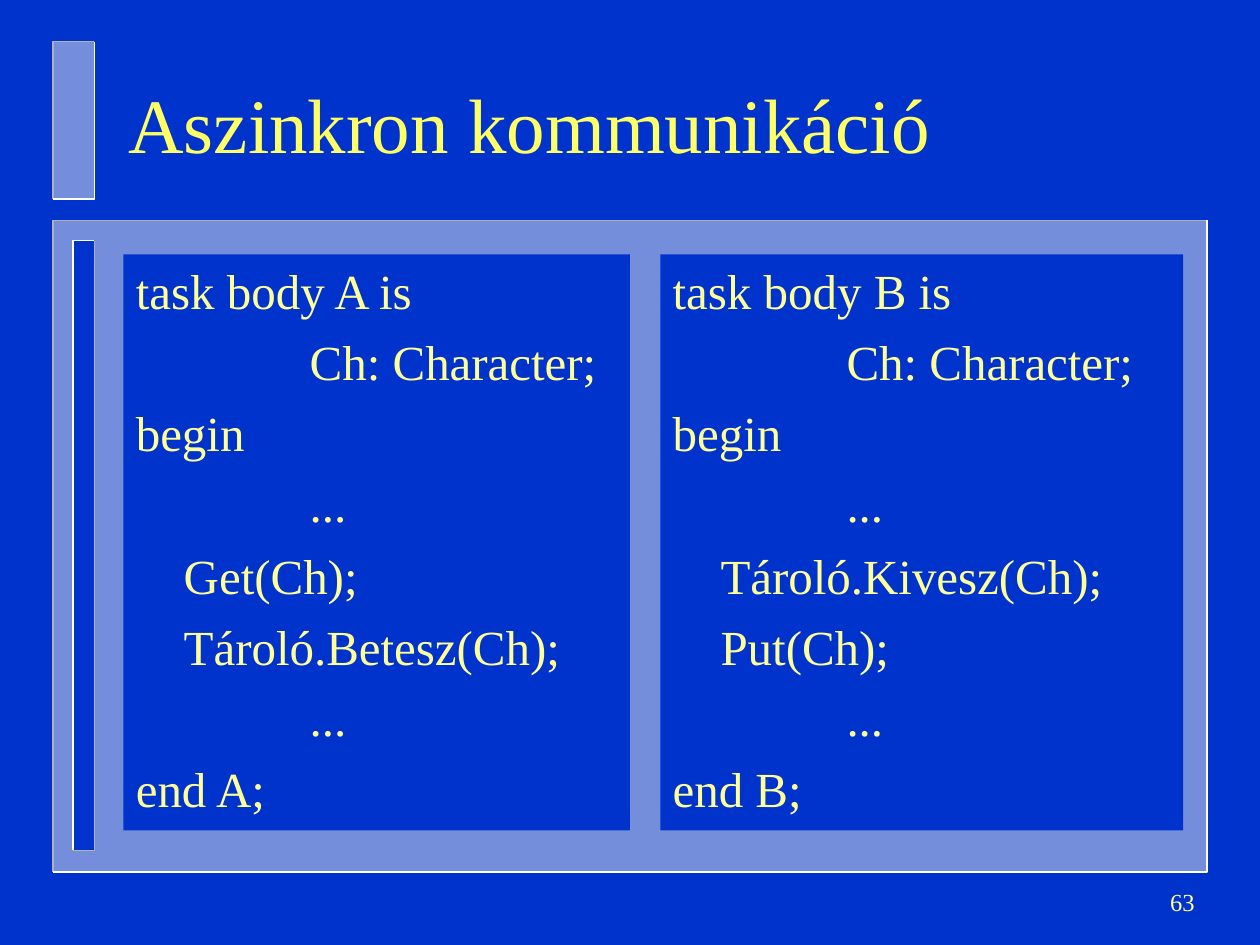
from lxml import etree
from pptx import Presentation
from pptx.dml.color import RGBColor
from pptx.enum.shapes import MSO_SHAPE
from pptx.enum.text import MSO_ANCHOR, PP_ALIGN
from pptx.oxml.ns import qn
from pptx.util import Inches, Pt

RECTANGLE = MSO_SHAPE.RECTANGLE
TOP, MIDDLE = MSO_ANCHOR.TOP, MSO_ANCHOR.MIDDLE
LEFT, RIGHT = PP_ALIGN.LEFT, PP_ALIGN.RIGHT
BLUE, PALE, GRAY, WHITE = "0033CC", "EAEAEA", "B2B2B2", "FFFFFF"
TITLE_YELLOW, TEXT_YELLOW = "FFFF66", "FFFF99"
LEVEL_INDENTS = [0, 0.38, 1.38]


def color(value):
    return RGBColor.from_string(value)


def write(box, lines, size, value, anchor=MIDDLE, align=LEFT, space=0):
    frame = box.text_frame
    frame.word_wrap = True
    frame.vertical_anchor = anchor
    for index, (level, text) in enumerate(lines):
        para = frame.paragraphs[0] if index == 0 else frame.add_paragraph()
        para.alignment = align
        para._p.get_or_add_pPr().set("marL", str(Inches(LEVEL_INDENTS[level])))
        if index:
            para.space_before = Pt(space)
        span = para.add_run()
        span.text = text
        span.font.name = "Times New Roman"
        span.font.size = Pt(size)
        span.font.color.rgb = color(value)


deck = Presentation()
deck.slide_width, deck.slide_height = Inches(10), Inches(7.5)
page = deck.slides.add_slide(deck.slide_layouts[6])
page.background.fill.solid()
page.background.fill.fore_color.rgb = color(BLUE)

panels = [
    (0.42, 1.75, 9.58, 6.92, PALE, GRAY, WHITE),
    (0.58, 1.91, 0.75, 6.75, BLUE, WHITE, GRAY),
    (0.42, 0.33, 0.75, 1.58, PALE, GRAY, WHITE),
]
for left, top, right, bottom, fill, upper, lower in panels:
    panel = page.shapes.add_shape(
        RECTANGLE, Inches(left), Inches(top), Inches(right - left), Inches(bottom - top)
    )
    panel.shadow.inherit = False
    panel.fill.solid()
    panel.fill.fore_color.rgb = color(fill)
    panel.line.fill.background()
    if fill == PALE:
        tint = panel._element.spPr.find(qn("a:solidFill"))[0]
        etree.SubElement(tint, qn("a:alpha")).set("val", "50000")
    for corner, value in [((left, top), upper), ((right, bottom), lower)]:
        builder = page.shapes.build_freeform(Inches(right), Inches(top), 1.0)
        builder.add_line_segments(
            [(Inches(x), Inches(y)) for x, y in [corner, (left, bottom)]], close=False
        )
        edge = builder.convert_to_shape()
        edge.shadow.inherit = False
        edge.fill.background()
        edge.line.color.rgb = color(value)
        edge.line.width = Pt(1)

title = page.shapes.add_textbox(Inches(0.92), Inches(0.37), Inches(8.5), Inches(1.21))
write(title, [(0, "Aszinkron kommunikáció")], 44, TITLE_YELLOW)

tasks = [
    (0.98, 4.02, "A", ["Get(Ch);", "Tároló.Betesz(Ch);"]),
    (5.24, 4.15, "B", ["Tároló.Kivesz(Ch);", "Put(Ch);"]),
]
for left, width, name, calls in tasks:
    code = page.shapes.add_shape(
        RECTANGLE, Inches(left), Inches(2.02), Inches(width), Inches(4.57)
    )
    code.shadow.inherit = False
    code.fill.solid()
    code.fill.fore_color.rgb = color(BLUE)
    code.line.fill.background()
    lines = [
        (0, f"task body {name} is"),
        (2, "Ch: Character;"),
        (0, "begin"),
        (2, "..."),
        *[(1, call) for call in calls],
        (2, "..."),
        (0, f"end {name};"),
    ]
    write(code, lines, 28, TEXT_YELLOW, anchor=TOP, space=7)

number = page.shapes.add_textbox(Inches(7.5), Inches(6.91), Inches(2.08), Inches(0.5))
write(number, [(0, "63")], 14, TEXT_YELLOW, align=RIGHT)

deck.save("out.pptx")
